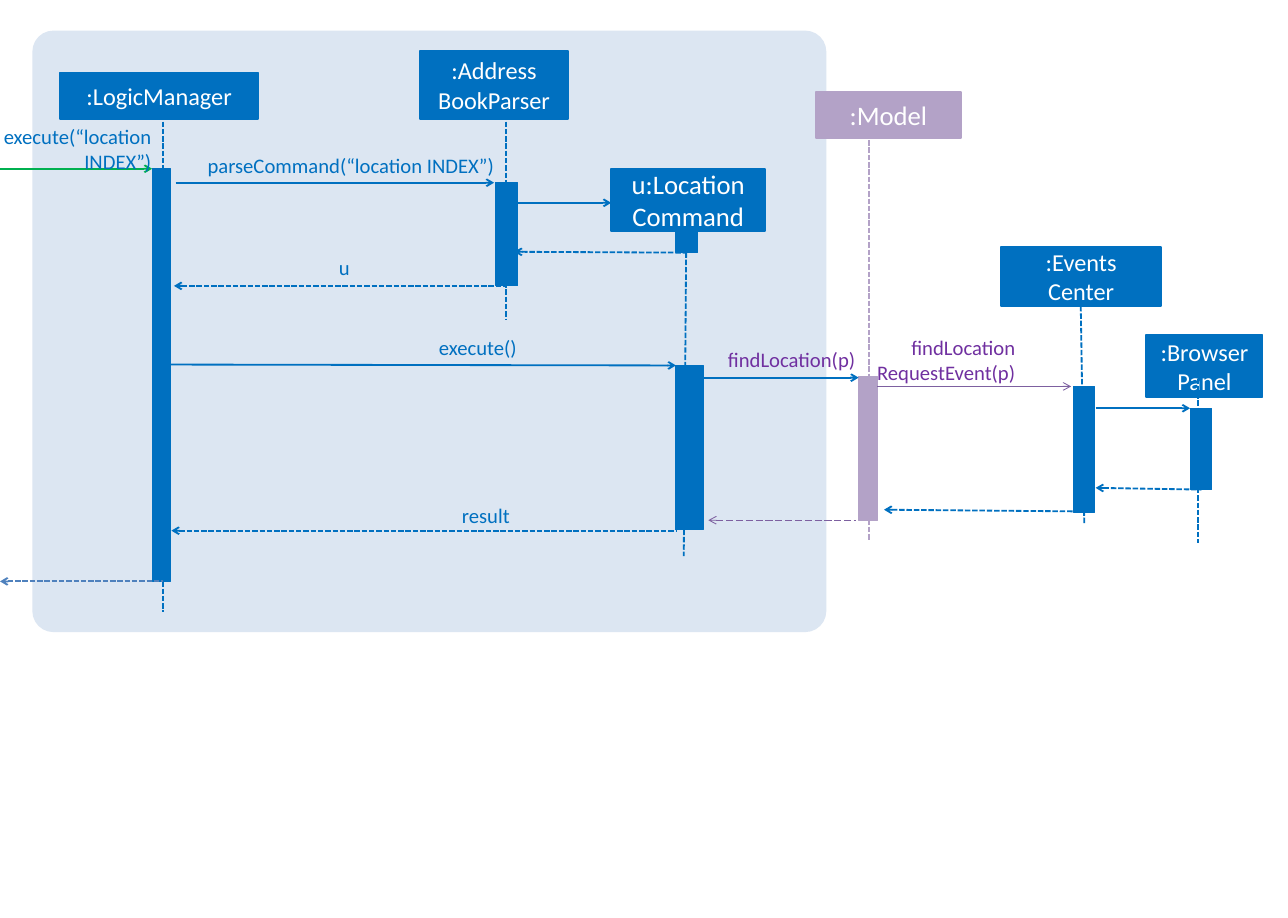
import lxml.etree
import pptx
import pptx.dml.color
import pptx.enum.dml
import pptx.enum.shapes
import pptx.enum.text
import pptx.oxml.ns
import pptx.util

COLUMNS, ROWS = 14.73, 10.5
BLUE, LILAC, PURPLE, VIOLET = "0070C0", "B3A2C7", "7030A0", "7D60A0"
GREEN, STEEL, PALE, WHITE = "00B050", "4F81BD", "DCE6F2", "FFFFFF"
ALIGN = pptx.enum.text.PP_ALIGN
SHAPE = pptx.enum.shapes.MSO_SHAPE
DASH = pptx.enum.dml.MSO_LINE.SQUARE_DOT
LONG_DASH = pptx.enum.dml.MSO_LINE.LONG_DASH


def rgb(color):
    return pptx.dml.color.RGBColor.from_string(color)


def write(tf, text, size=20, color=WHITE, align=ALIGN.CENTER, font="Calibri"):
    tf.word_wrap = True
    for i, line in enumerate(text.split("\n")):
        p = tf.paragraphs[0] if i == 0 else tf.add_paragraph()
        p.text = line
        p.alignment = align
        for r in p.runs:
            r.font.name = font
            r.font.size = pptx.util.Pt(size)
            r.font.color.rgb = rgb(color)


class SequenceDiagram:
    def __init__(self, prs):
        self.column = prs.slide_width / COLUMNS
        self.row = prs.slide_height / ROWS
        self.s = prs.slides.add_slide(prs.slide_layouts[6])

    def grid(self, *values):
        return [round(v * (self.row if i % 2 else self.column)) for i, v in enumerate(values)]

    def box(self, at, color, width=0.75, kind=SHAPE.RECTANGLE):
        sp = self.s.shapes.add_shape(kind, *self.grid(*at))
        sp.shadow.inherit = False
        sp.fill.solid()
        sp.fill.fore_color.rgb = rgb(color)
        if width:
            sp.line.color.rgb = rgb(color)
            sp.line.width = pptx.util.Pt(width)
        else:
            sp.line.fill.background()
        return sp

    def frame(self, at):
        sp = self.box(at, PALE, 0, SHAPE.ROUNDED_RECTANGLE)
        sp.adjustments[0] = 0.035

    def head(self, name, at, color, size):
        tf = self.box(at, color, 1.5).text_frame
        tf.margin_left = tf.margin_right = pptx.util.Inches(0.14)
        tf.margin_top = tf.margin_bottom = pptx.util.Inches(0.07)
        tf.vertical_anchor = pptx.enum.text.MSO_ANCHOR.MIDDLE
        write(tf, name, size=size)

    def line(self, ends, color=BLUE, width=1.5, dash=None, arrow=None):
        kind = pptx.enum.shapes.MSO_CONNECTOR.STRAIGHT
        c = self.s.shapes.add_connector(kind, *self.grid(*ends))
        c.line.color.rgb = rgb(color)
        c.line.width = pptx.util.Pt(width)
        if dash:
            c.line.dash_style = dash
        if arrow:
            ln = c.line._get_or_add_ln()
            lxml.etree.SubElement(ln, pptx.oxml.ns.qn(f"a:{arrow}End"), type="arrow")
        lxml.etree.SubElement(c._element.spPr, pptx.oxml.ns.qn("a:effectLst"))

    def call(self, *ends, **style):
        self.line(ends, arrow="tail", **style)

    def reply(self, *ends, dash=DASH, **style):
        self.line(ends, dash=dash, arrow="head", **style)

    def participant(self, name, at, life, bars, color=BLUE, size=20, head_on_top=False):
        if not head_on_top:
            self.head(name, at, color, size)
        self.line(life, color, dash=DASH)
        for bar in bars:
            self.box(bar, color)
        if head_on_top:
            self.head(name, at, color, size)

    def label(self, text, at, color=BLUE):
        tf = self.s.shapes.add_textbox(*self.grid(*at)).text_frame
        tf.margin_left = tf.margin_right = tf.margin_top = tf.margin_bottom = 0
        write(tf, text, size=17, color=color, align=ALIGN.RIGHT)
        tf.auto_size = pptx.enum.text.MSO_AUTO_SIZE.SHAPE_TO_FIT_TEXT


def main():
    prs = pptx.Presentation()
    prs.slide_width = pptx.util.Inches(COLUMNS)
    prs.slide_height = pptx.util.Inches(ROWS)
    d = SequenceDiagram(prs)

    d.frame((0.37, 0.35, 9.08, 6.88))
    d.participant(":LogicManager", (0.69, 0.83, 2.26, 0.53), (1.86, 1.39, 1.86, 7),
                  [(1.74, 1.93, 0.21, 4.72)])
    d.participant(":Address\nBookParser", (4.8, 0.58, 1.7, 0.78), (5.79, 1.39, 5.79, 3.66),
                  [(5.67, 2.09, 0.25, 1.18)])
    d.participant("u:Location\vCommand", (6.99, 1.93, 1.76, 0.71), (7.85, 2.47, 7.82, 6.36),
                  [(7.73, 2.47, 0.25, 0.42), (7.72, 4.18, 0.32, 1.88)],
                  size=22, head_on_top=True)
    d.participant(":Model", (9.33, 1.05, 1.66, 0.53), (9.94, 1.52, 9.94, 6.18),
                  [(9.82, 4.31, 0.22, 1.64)], color=LILAC, size=22)
    d.participant(":Events Center", (11.45, 2.83, 1.83, 0.67), (12.36, 3.5, 12.4, 6),
                  [(12.28, 4.42, 0.24, 1.44)])
    d.participant(":BrowserPanel", (13.11, 3.83, 1.33, 0.71), (13.7, 4.33, 13.7, 6.21),
                  [(13.61, 4.67, 0.25, 0.93)])

    d.call(0, 1.93, 1.74, 1.93, color=GREEN)
    d.call(2.01, 2.09, 5.65, 2.09)
    d.call(5.92, 2.32, 6.99, 2.32)
    d.reply(5.88, 2.88, 7.85, 2.89)
    d.reply(1.99, 3.27, 5.77, 3.27)
    d.call(1.95, 4.17, 7.73, 4.18)
    d.call(7.98, 4.32, 9.82, 4.32)
    d.call(10.03, 4.42, 12.25, 4.42, color=VIOLET, width=0.75)
    d.call(12.53, 4.67, 13.61, 4.67)
    d.reply(12.53, 5.58, 13.74, 5.6)
    d.reply(10.11, 5.83, 12.4, 5.85)
    d.reply(8.1, 5.95, 9.79, 5.95, color=VIOLET, width=0.75, dash=LONG_DASH)
    d.reply(1.96, 6.07, 7.73, 6.07)
    d.reply(0, 6.65, 1.86, 6.65, color=STEEL)

    d.label("execute(“location INDEX”)", (0, 1.42, 1.73, 0.57))
    d.label("parseCommand(“location INDEX”)", (2.09, 1.75, 3.56, 0.29))
    d.label("u", (3.65, 2.92, 0.35, 0.29))
    d.label("execute()", (4.53, 3.83, 1.38, 0.29))
    d.label("result", (4.45, 5.75, 1.38, 0.57))
    d.label("findLocation(p)", (7.49, 3.97, 2.29, 0.29), PURPLE)
    d.label("findLocation\nRequestEvent(p)", (9.53, 3.83, 2.08, 0.57), PURPLE)

    prs.save("out.pptx")


if __name__ == "__main__":
    main()
